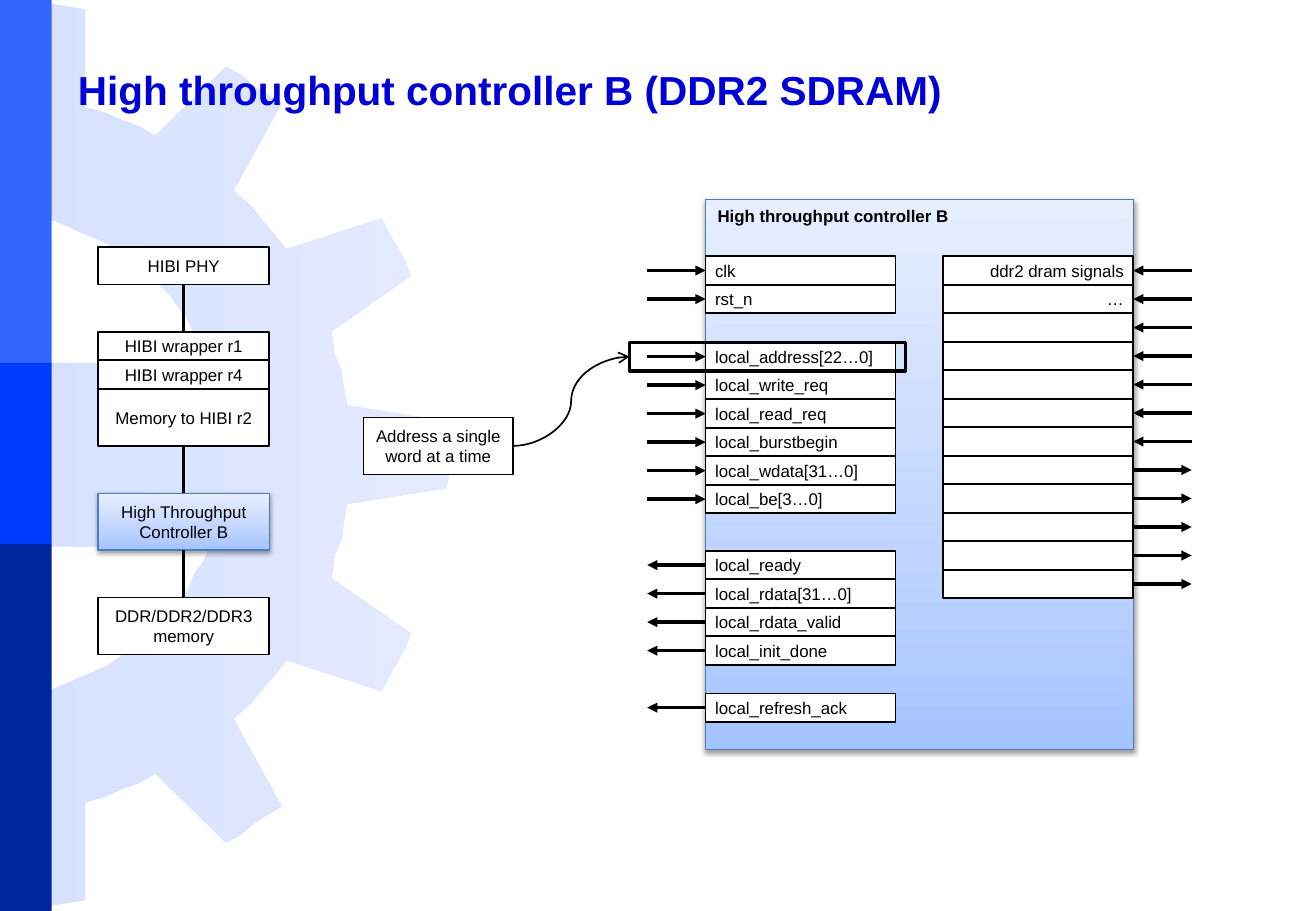
from copy import deepcopy

from lxml import etree
from pptx import Presentation
from pptx.dml.color import RGBColor
from pptx.enum.shapes import MSO_CONNECTOR, MSO_SHAPE
from pptx.enum.text import MSO_ANCHOR, PP_ALIGN
from pptx.oxml.ns import qn
from pptx.util import Cm, Pt

RECTANGLE = MSO_SHAPE.RECTANGLE
STRAIGHT, CURVE = MSO_CONNECTOR.STRAIGHT, MSO_CONNECTOR.CURVE
LEFT, CENTER, RIGHT = PP_ALIGN.LEFT, PP_ALIGN.CENTER, PP_ALIGN.RIGHT
TOP, MIDDLE = MSO_ANCHOR.TOP, MSO_ANCHOR.MIDDLE
SIDE_TOP, SIDE_LEFT, SIDE_BOTTOM, SIDE_RIGHT = range(4)

BLACK = RGBColor(0x00, 0x00, 0x00)
WHITE = RGBColor(0xFF, 0xFF, 0xFF)
TITLE_BLUE = RGBColor(0x00, 0x00, 0xD6)
PANEL_LINE = RGBColor(0x4B, 0x7E, 0xBC)
PANEL_STOPS = [(0, RGBColor(0xA4, 0xC4, 0xFF)), (0.35, RGBColor(0xBF, 0xD4, 0xFF)),
               (1, RGBColor(0xE6, 0xEE, 0xFF))]
GEAR_STOPS = [(0, RGBColor(0xD7, 0xE1, 0xFF)), (1, RGBColor(0xE3, 0xEA, 0xFF))]
BANDS = [(7.59, RGBColor(0x33, 0x66, 0xFF)), (3.79, RGBColor(0x00, 0x3C, 0xFC)),
         (7.67, RGBColor(0x00, 0x25, 0x9C))]

FONT = "Arial"
ROW = Cm(7.15) // 12
PORT_WIDTH = Cm(3.97)
ARROW_LENGTH = Cm(1.22)
TEXT_MARGINS = (0.25, 0.13)
PORT_MARGINS = (0.2, 0)

GEAR_HEIGHT = 19.02
UPPER_GEAR = [
    (9.4, 9.12), (9.32, 8.81), (7.26, 8.48), (7.19, 8.13), (7.14, 7.75), (6.99, 7.39),
    (6.93, 6.93), (8.59, 5.77), (8.46, 5.44), (8.31, 5.18), (8.13, 4.88), (7.98, 4.57),
    (5.99, 5.21), (5.72, 4.88), (5.46, 4.57), (5.23, 4.29), (4.88, 3.99), (5.89, 2.16),
    (5.56, 1.96), (5.28, 1.78), (5.05, 1.57), (4.72, 1.4), (3.25, 2.84), (2.9, 2.64),
    (2.54, 2.51), (2.21, 2.36), (1.78, 2.24), (1.78, 0.2), (1.4, 0.13), (1.07, 0.08),
    (0.74, 0.03), (0.36, 0), (0.36, 4.47), (0.71, 4.57), (1.07, 4.6), (1.37, 4.72),
    (1.65, 4.85), (1.98, 4.98), (2.26, 5.11), (2.54, 5.31), (2.82, 5.49), (3.02, 5.74),
    (3.3, 5.94), (3.53, 6.15), (3.73, 6.43), (3.94, 6.71), (4.06, 7.01), (4.24, 7.26),
    (4.39, 7.59), (0, 7.59)]

# Distance from the controller's top, whether the signals enter it, and their names
LOCAL_PORTS = [
    (1.19, True, ["clk", "rst_n"]),
    (2.99, True, ["local_address[22…0]", "local_write_req", "local_read_req",
                  "local_burstbegin", "local_wdata[31…0]", "local_be[3…0]"]),
    (7.35, False, ["local_ready", "local_rdata[31…0]", "local_rdata_valid",
                   "local_init_done"]),
    (10.33, False, ["local_refresh_ack"])]
MEMORY_PORTS = ["ddr2 dram signals", "…"] + [""] * 10
MEMORY_INPUTS = 7


def write_text(frame, text, size=10, bold=False, color=BLACK, align=CENTER,
               anchor=MIDDLE, margins=TEXT_MARGINS, wrap=True):
    frame.word_wrap = wrap
    frame.vertical_anchor = anchor
    frame.margin_left = frame.margin_right = Cm(margins[0])
    frame.margin_top = frame.margin_bottom = Cm(margins[1])
    paragraph = frame.paragraphs[0]
    paragraph.alignment = align
    run = paragraph.add_run()
    run.text = text
    run.font.name, run.font.size = FONT, Pt(size)
    run.font.bold, run.font.color.rgb = bold, color


def fill_gradient(shape, stops, angle):
    shape.fill.gradient()
    shape.fill.gradient_angle = angle
    stop_list = next(shape._element.spPr.iter(qn("a:gsLst")))
    while len(stop_list) < len(stops):
        stop_list.append(deepcopy(stop_list[0]))
    for stop, (position, color) in zip(shape.fill.gradient_stops, stops):
        stop.position, stop.color.rgb = position, color


def add_box(slide, box, text="", fill=WHITE, line=BLACK, line_width=1, **text_format):
    shape = slide.shapes.add_shape(RECTANGLE, *box)
    shape.shadow.inherit = False
    if fill is None:
        shape.fill.background()
    else:
        shape.fill.solid()
        shape.fill.fore_color.rgb = fill
    if line is None:
        shape.line.fill.background()
    else:
        shape.line.color.rgb, shape.line.width = line, Pt(line_width)
    if text:
        write_text(shape.text_frame, text, **text_format)
    return shape


def add_panel(slide, box, text, **text_format):
    """Add a blue gradient box with a soft shadow below it."""
    panel = add_box(slide, box, text, line=PANEL_LINE, line_width=0.75, **text_format)
    fill_gradient(panel, PANEL_STOPS, 90)
    effects = panel._element.spPr.find(qn("a:effectLst"))
    shadow = etree.SubElement(effects, qn("a:outerShdw"), blurRad=str(Pt(3.1)),
                              dist=str(Pt(1.6)), dir="5400000", rotWithShape="0")
    color = etree.SubElement(shadow, qn("a:srgbClr"), val=str(BLACK))
    etree.SubElement(color, qn("a:alpha"), val="38000")
    return panel


def add_line(slide, begin=(0, 0), end=(0, 0), begin_at=None, end_at=None,
             kind=STRAIGHT, width=2, head=None):
    """Add a connector; begin_at and end_at are (shape, side) pairs to join."""
    connector = slide.shapes.add_connector(kind, *begin, *end)
    if begin_at:
        connector.begin_connect(*begin_at)
    if end_at:
        connector.end_connect(*end_at)
    connector.line.color.rgb, connector.line.width = BLACK, Pt(width)
    if head:
        etree.SubElement(connector.line._get_or_add_ln(), qn("a:tailEnd"), type=head)
    etree.SubElement(connector._element.spPr, qn("a:effectLst"))
    return connector


def add_port(slide, box, name, side, is_input):
    """Add a signal row with an arrow on its outer side."""
    left, top, width, height = box
    port = add_box(slide, box, name, align=RIGHT if side == SIDE_RIGHT else LEFT,
                   margins=PORT_MARGINS)
    middle = top + height // 2
    outer = left + width + ARROW_LENGTH if side == SIDE_RIGHT else left - ARROW_LENGTH
    if is_input:
        add_line(slide, begin=(outer, middle), end_at=(port, side), head="triangle")
    else:
        add_line(slide, end=(outer, middle), begin_at=(port, side), head="triangle")
    return port


def add_background(slide, width):
    lower_gear = [(x, GEAR_HEIGHT - y) for x, y in reversed(UPPER_GEAR)]
    outline = [(Cm(x), Cm(y)) for x, y in UPPER_GEAR + lower_gear]
    builder = slide.shapes.build_freeform(*outline[0])
    builder.add_line_segments(outline[1:], close=True)
    gear = builder.convert_to_shape()
    gear.shadow.inherit = False
    gear.line.fill.background()
    fill_gradient(gear, GEAR_STOPS, 0)
    top = 0
    for height, color in BANDS:
        add_box(slide, (0, top, width, Cm(height)), fill=color, line=None)
        top += Cm(height)


def add_title(slide, box, text):
    title = slide.shapes.title
    title.left, title.top, title.width, title.height = box
    write_text(title.text_frame, text, size=24, bold=True, color=TITLE_BLUE, align=LEFT)
    slide.shapes._spTree.append(title._element)


def add_memory_stack(slide, left, top, width, gap):
    """Stack the blocks from the bus down to the memory, joined by lines."""
    def place(height, text, add=add_box, **text_format):
        return add(slide, (left, top, width, height), text, **text_format)

    phy = place(Cm(0.79), "HIBI PHY")
    top += phy.height + gap
    first_wrapper = place(ROW, "HIBI wrapper r1", margins=(0, 0), wrap=False)
    top += ROW
    place(ROW, "HIBI wrapper r4", margins=(0, 0), wrap=False)
    top += ROW
    bridge = place(2 * ROW, "Memory to HIBI r2")
    top += 2 * ROW + gap
    controller = place(2 * ROW, "High Throughput Controller B", add=add_panel)
    top += 2 * ROW + gap
    memory = place(2 * ROW, "DDR/DDR2/DDR3 memory")
    for upper, lower in [(phy, first_wrapper), (bridge, controller), (controller, memory)]:
        add_line(slide, begin_at=(upper, SIDE_BOTTOM), end_at=(lower, SIDE_TOP))


def add_controller(slide, left, top, width, height):
    """Draw the controller with its ports and return the ports by name."""
    add_panel(slide, (left, top, width, height), "High throughput controller B",
              bold=True, align=LEFT, anchor=TOP)
    ports = {}
    for offset, is_input, names in LOCAL_PORTS:
        for index, name in enumerate(names):
            box = (left, top + Cm(offset) + index * ROW, PORT_WIDTH, ROW)
            ports[name] = add_port(slide, box, name, SIDE_LEFT, is_input)
    for index, name in enumerate(MEMORY_PORTS):
        box = (left + width - PORT_WIDTH, top + Cm(1.19) + index * ROW, PORT_WIDTH, ROW)
        add_port(slide, box, name, SIDE_RIGHT, index < MEMORY_INPUTS)
    return ports


def add_address_note(slide, box, port):
    """Frame the address port and point a note at the frame."""
    frame = add_box(slide, (port.left - Cm(1.59), port.top, Cm(5.77), ROW),
                    fill=None, line_width=2)
    note = add_box(slide, box, "Address a single word at a time", margins=(0, 0))
    add_line(slide, begin_at=(note, SIDE_RIGHT), end_at=(frame, SIDE_LEFT),
             kind=CURVE, width=1, head="arrow")


def main():
    presentation = Presentation()
    presentation.slide_width, presentation.slide_height = Cm(27.51), Cm(19.05)
    slide = presentation.slides.add_slide(presentation.slide_layouts[5])
    add_background(slide, Cm(1.08))
    add_title(slide, (Cm(1.38), Cm(0.76), Cm(24.77), Cm(2.21)),
              "High throughput controller B (DDR2 SDRAM)")
    add_memory_stack(slide, Cm(2.05), Cm(5.16), Cm(3.58), Cm(0.99))
    ports = add_controller(slide, Cm(14.75), Cm(4.17), Cm(8.94), Cm(11.5))
    add_address_note(slide, (Cm(7.6), Cm(8.73), Cm(3.12), 2 * ROW),
                     ports["local_address[22…0]"])
    presentation.save("out.pptx")


if __name__ == "__main__":
    main()
